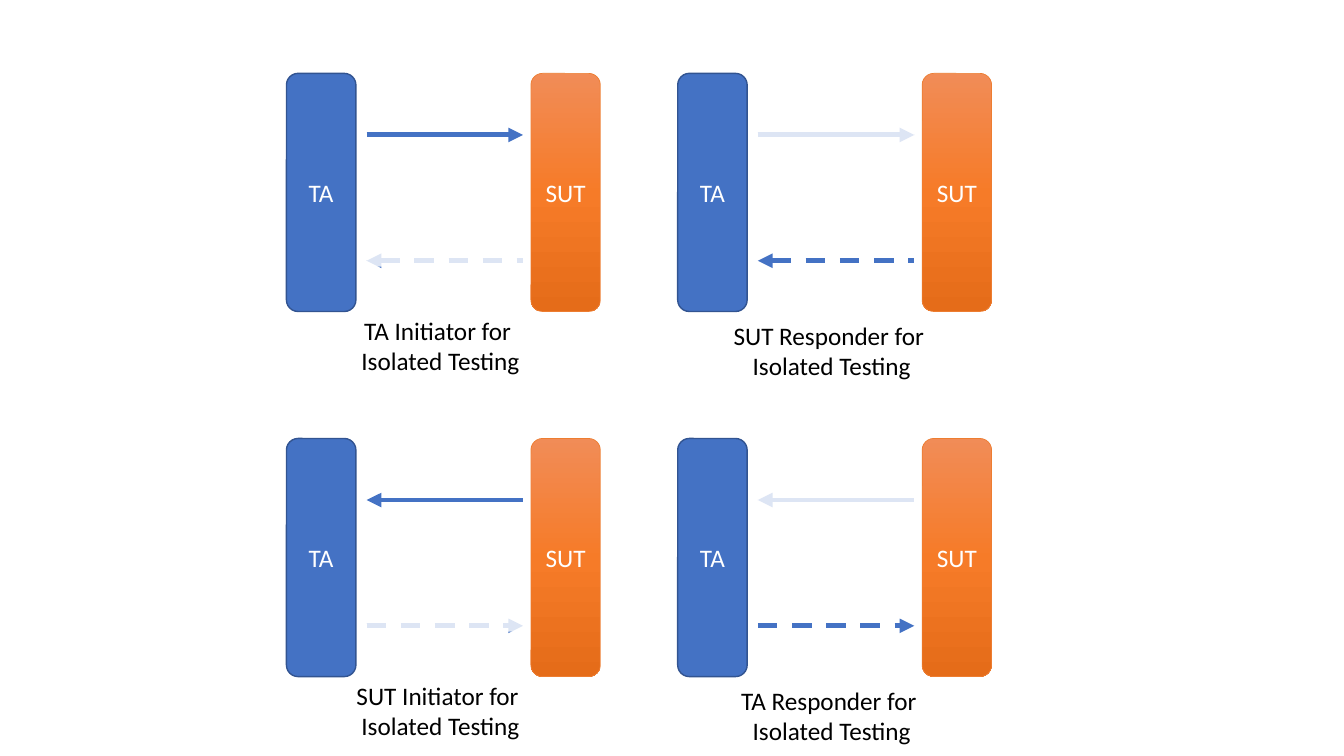
from copy import deepcopy
from dataclasses import dataclass

from lxml import etree
from pptx import Presentation
from pptx.dml.color import RGBColor
from pptx.enum import dml, shapes, text
from pptx.oxml import ns
from pptx.util import Cm, Pt


@dataclass(frozen=True)
class Theme:
    font: str = "Calibri"
    size: int = 18
    blue: str = "4472C4"
    blue_edge: str = "325491"
    orange_edge: str = "ED7D31"
    oranges: tuple = ("F18C57", "F67B28", "E56C19")
    white: str = "FFFFFF"
    black: str = "000000"


theme = Theme()
rgb = RGBColor.from_string


def write(holder, wording, *, color, anchor=text.MSO_ANCHOR.MIDDLE, wrap=True):
    frame = holder.text_frame
    frame.text = wording
    frame.word_wrap = wrap
    frame.vertical_anchor = anchor
    if not wrap:
        frame.auto_size = text.MSO_AUTO_SIZE.SHAPE_TO_FIT_TEXT
    for line in frame.paragraphs:
        line.alignment = text.PP_ALIGN.CENTER
        line.font.name, line.font.size = theme.font, Pt(theme.size)
        line.font.color.rgb = rgb(color)


def add_xml(parent, tag, **attributes):
    return etree.SubElement(parent, ns.qn(tag), attributes)


deck = Presentation()
deck.slide_width, deck.slide_height = Cm(33.87), Cm(19.05)
slide = deck.slides.add_slide(deck.slide_layouts[6])

# Layout in centimetres, offsets counted from the corner of each panel
columns, rows = (7.22, 17.08), (1.85, 11.05)
bar_width, bar_height, sut_offset = 1.75, 6, 6.16
arrow_offset, arrow_length = 2.02, 3.94
request_y, response_y = 1.55, 4.72
veil_height = 1.9
caption_centre, caption_width, caption_height = 3.88, 5.5, 1.8

# Role, column, row, initiating side, top of the veil, top of the caption
panels = [
    ("TA Initiator", 0, 0, "TA", 2.97, 5.97),
    ("SUT Responder", 1, 0, "TA", 0.25, 6.1),
    ("SUT Initiator", 0, 1, "SUT", 2.97, 5.97),
    ("TA Responder", 1, 1, "SUT", 0.89, 6.1),
]

for role, column, row, initiator, veil_top, caption_top in panels:
    left, top = columns[column], rows[row]

    # Test agent and system under test
    for party, offset, edge, edge_width in (
        ("TA", 0, theme.blue_edge, 1),
        ("SUT", sut_offset, theme.orange_edge, 0.5),
    ):
        bar = slide.shapes.add_shape(
            shapes.MSO_SHAPE.ROUNDED_RECTANGLE,
            Cm(left + offset), Cm(top), Cm(bar_width), Cm(bar_height))
        bar.shadow.inherit = False
        bar.line.color.rgb, bar.line.width = rgb(edge), Pt(edge_width)
        if party == "TA":
            bar.fill.solid()
            bar.fill.fore_color.rgb = rgb(theme.blue)
        else:
            bar.fill.gradient()
            bar.fill.gradient_angle = 270
            stops = bar._element.spPr.find(".//" + ns.qn("a:gsLst"))
            stops.append(deepcopy(stops[-1]))
            for index, stop in enumerate(bar.fill.gradient_stops):
                stop.position = index / 2
                stop.color.rgb = rgb(theme.oranges[index])
        write(bar, party, color=theme.white)

    # Solid request and dashed response, pointing opposite ways
    arrow_left = left + arrow_offset
    for y, dashed in ((request_y, False), (response_y, True)):
        arrow = slide.shapes.add_connector(
            shapes.MSO_CONNECTOR.STRAIGHT,
            Cm(arrow_left), Cm(top + y), Cm(arrow_left + arrow_length), Cm(top + y))
        arrow.line.color.rgb, arrow.line.width = rgb(theme.blue), Pt(3.5)
        if dashed:
            arrow.line.dash_style = dml.MSO_LINE.DASH
        points_right = (initiator == "TA") != dashed
        add_xml(arrow.line._get_or_add_ln(),
                "a:tailEnd" if points_right else "a:headEnd", type="triangle")
        add_xml(arrow._element.spPr, "a:effectLst")

    # Translucent veil over the message outside the test
    veil = slide.shapes.add_shape(
        shapes.MSO_SHAPE.RECTANGLE,
        Cm(arrow_left), Cm(top + veil_top), Cm(arrow_length), Cm(veil_height))
    veil.shadow.inherit = False
    veil.line.fill.background()
    veil.fill.solid()
    veil.fill.fore_color.rgb = rgb(theme.white)
    veil_color = veil._element.spPr.find(ns.qn("a:solidFill"))[0]
    add_xml(veil_color, "a:alpha", val="82000")

    # Caption
    caption = slide.shapes.add_textbox(
        Cm(left + caption_centre - caption_width / 2), Cm(top + caption_top),
        Cm(caption_width), Cm(caption_height))
    write(caption, f"{role} for \nIsolated Testing", color=theme.black,
          anchor=text.MSO_ANCHOR.TOP, wrap=False)

deck.save("out.pptx")
